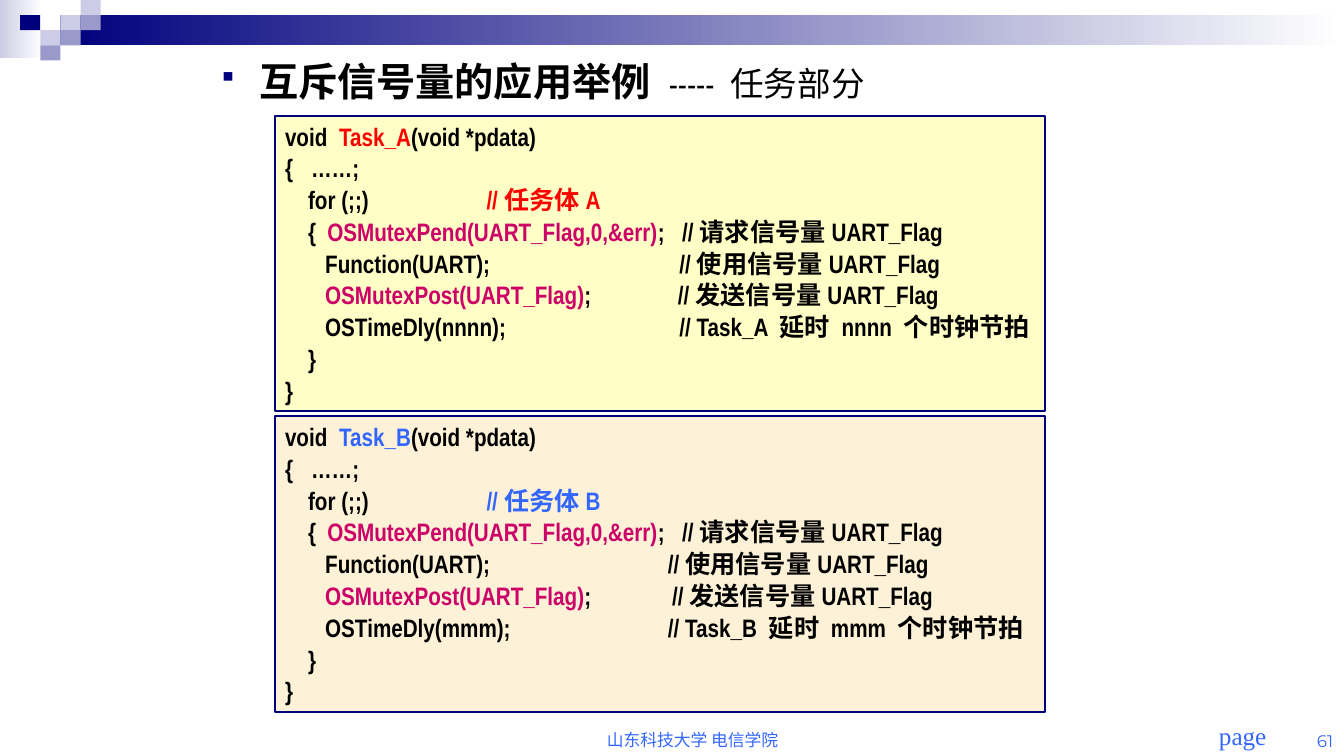
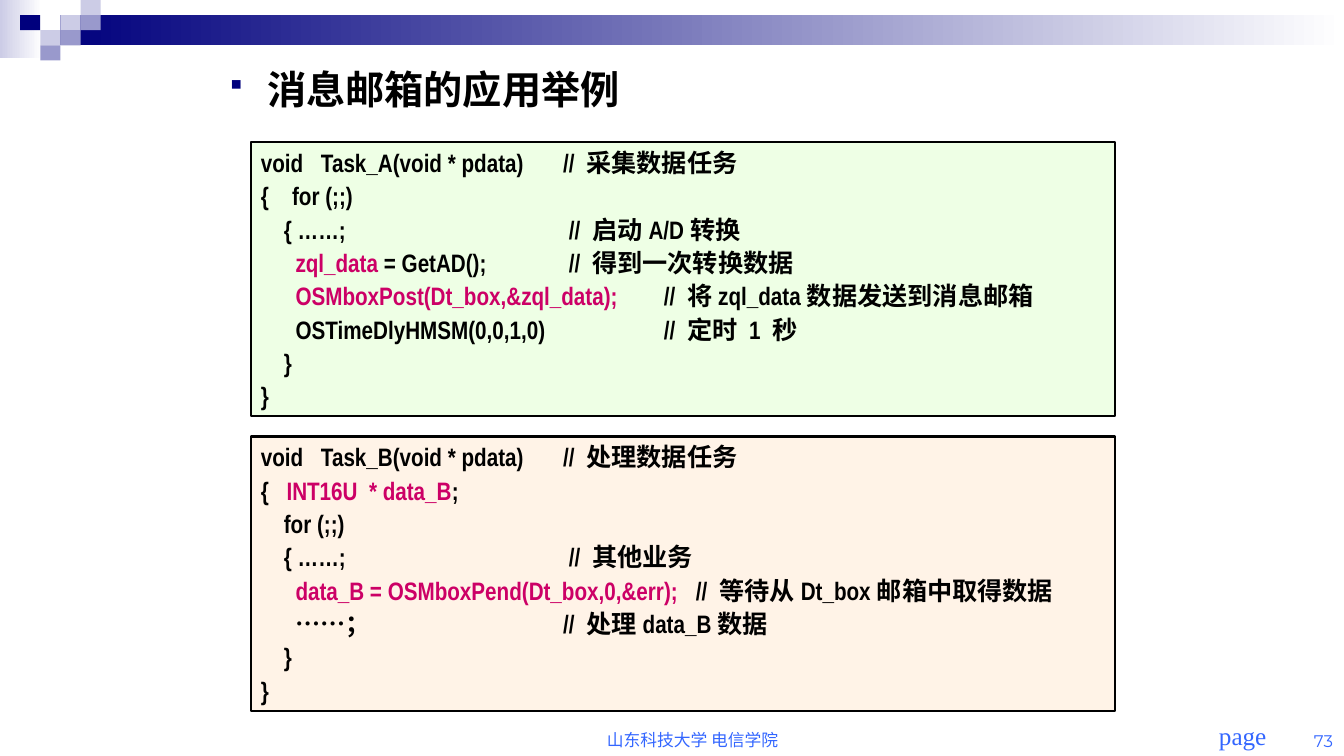
from typing import NamedTuple

from lxml.etree import SubElement
from pptx import Presentation
from pptx.dml.color import RGBColor
from pptx.enum.shapes import MSO_SHAPE as Preset
from pptx.enum.text import MSO_ANCHOR as Anchor, PP_ALIGN as Align
from pptx.oxml.ns import qn
from pptx.util import Pt

# Colours
NAVY = RGBColor(0x00, 0x00, 0x7D)
MID = RGBColor(0x99, 0x99, 0xCC)
PALE = RGBColor(0xCC, 0xCC, 0xE6)
WHITE = RGBColor(0xFF, 0xFF, 0xFF)
BLACK = RGBColor(0x00, 0x00, 0x00)
BLUE = RGBColor(0x33, 0x66, 0xFF)
RED = RGBColor(0xFF, 0x00, 0x00)
MAGENTA = RGBColor(0xCC, 0x00, 0x66)
YELLOW = RGBColor(0xFF, 0xFE, 0xC6)
CREAM = RGBColor(0xFD, 0xF2, 0xD7)
GREEN = RGBColor(0xEE, 0xFF, 0xE5)
PEACH = RGBColor(0xFF, 0xF3, 0xE7)

# Page size and the cells of the corner mosaic
PAGE_WIDTH, PAGE_HEIGHT = 960.48, 540
CELL_WIDTH, CELL_HEIGHT = 14.4, 10.8
MOSAIC = [(3, 1, PALE), (4, 0, PALE), (4, 1, MID), (2, 2, PALE),
          (1, 1, NAVY), (3, 2, MID), (2, 3, MID)]
CODE_FONT = "Arial Narrow"


class Line(NamedTuple):
    """A code line: spans are plain text or (text, colour)."""
    spans: list
    indent: float = 0
    tabs: tuple = ()


def style(span, size, font, color, bold=False):
    span.font.size = Pt(size)
    span.font.name = font
    span.font.color.rgb = color
    span.font.bold = bold


def add_rect(page, left, top, width, height, color, fade=False):
    rect = page.shapes.add_shape(Preset.RECTANGLE, Pt(left), Pt(top), Pt(width), Pt(height))
    rect.shadow.inherit = False
    rect.line.fill.background()
    if fade:
        rect.fill.gradient()
        rect.fill.gradient_angle = 0
        for stop, stop_color in zip(rect.fill.gradient_stops, (color, WHITE)):
            stop.color.rgb = stop_color
    else:
        rect.fill.solid()
        rect.fill.fore_color.rgb = color
    return rect


def add_label(page, left, top, width, height, text, size, font, align, anchor):
    box = page.shapes.add_textbox(Pt(left), Pt(top), Pt(width), Pt(height))
    frame = box.text_frame
    frame.word_wrap = True
    frame.vertical_anchor = anchor
    frame.text = text
    para = frame.paragraphs[0]
    para.alignment = align
    style(para.runs[0], size, font, BLUE)
    return box


def add_page(deck, number):
    """A page with the top band, the mosaic and the footer."""
    page = deck.slides.add_slide(deck.slide_layouts[6])
    add_rect(page, 0, 0, 30.2, 41.8, PALE, fade=True)
    band_left = 3 * CELL_WIDTH
    add_rect(page, band_left, CELL_HEIGHT, PAGE_WIDTH - band_left, 2 * CELL_HEIGHT,
             NAVY, fade=True)
    for column, row, color in MOSAIC:
        add_rect(page, column * CELL_WIDTH, row * CELL_HEIGHT,
                 CELL_WIDTH, CELL_HEIGHT, color)
    caption = add_label(page, 853.9, 511.2, 68.4, 28.8, "page", 18, "Times New Roman",
                        Align.CENTER, Anchor.TOP)
    caption.text_frame.paragraphs[0].space_before = Pt(11.2)
    add_label(page, 336.2, 514, 317.5, 25.2, "山东科技大学 电信学院", 12, "Arial",
              Align.CENTER, Anchor.BOTTOM)
    add_label(page, 910.8, 514.8, 49, 25.2, str(number), 12, "Montserrat",
              Align.RIGHT, Anchor.BOTTOM)
    return page


def add_heading(page, left, top, width, title, note="", space=6):
    box = page.shapes.add_textbox(Pt(left), Pt(top), Pt(width), Pt(45.4))
    box.text_frame.word_wrap = True
    para = box.text_frame.paragraphs[0]
    para.text = title
    para.space_before = Pt(space)
    style(para.runs[0], 28, CODE_FONT, BLACK, bold=True)
    if note:
        span = para.add_run()
        span.text = note
        style(span, 24, CODE_FONT, BLACK)
    # Square bullet with a hanging indent
    props = para._p.get_or_add_pPr()
    props.set("marL", str(Pt(27)))
    props.set("indent", str(Pt(-27)))
    SubElement(SubElement(props, qn("a:buClr")), qn("a:srgbClr"), val=str(NAVY))
    SubElement(props, qn("a:buSzPct"), val="75000")
    SubElement(props, qn("a:buFont"), typeface="Wingdings", charset="2")
    SubElement(props, qn("a:buChar"), char="§")


def add_code(page, left, top, width, height, fill, border, lines, space):
    box = add_rect(page, left, top, width, height, fill)
    box.line.color.rgb = border
    box.line.width = Pt(1.5)
    frame = box.text_frame
    frame.word_wrap = True
    frame.vertical_anchor = Anchor.TOP
    for index, line in enumerate(lines):
        para = frame.add_paragraph() if index else frame.paragraphs[0]
        para.alignment = Align.LEFT
        para.space_before = Pt(space)
        # The indent is a leading tab, on the same ruler as the comments
        lead = [line.indent] if line.indent else []
        stops = SubElement(para._p.get_or_add_pPr(), qn("a:tabLst"))
        for tab in [*lead, *line.tabs]:
            SubElement(stops, qn("a:tab"), pos=str(Pt(tab)), algn="l")
        for part in ["\t"] * len(lead) + line.spans:
            text, color = (part, BLACK) if isinstance(part, str) else part
            span = para.add_run()
            span.text = text
            style(span, 18, CODE_FONT, color, bold=True)


def mutex_task(letter, delay, accent, use_tab, post_tab):
    """Code of a task that shares the UART; the tabs place its comments."""
    outer, inner = 16.5, 28.7
    return [
        Line(["void\t", (f"Task_{letter}", accent), "(void *pdata)"], 0, (38.6,)),
        Line(["{\t……;"], 0, (18.6,)),
        Line(["for (;;)\t", (f"//任务体{letter}", accent)], outer, (144,)),
        Line(["{\t", ("OSMutexPend(UART_Flag,0,&err)", MAGENTA),
              ";\t//请求信号量UART_Flag"], outer, (30.2, 283.8)),
        Line(["Function(UART);\t//使用信号量UART_Flag"], inner, (use_tab,)),
        Line([("OSMutexPost(UART_Flag)", MAGENTA), ";\t//发送信号量UART_Flag"],
             inner, (post_tab,)),
        Line([f"OSTimeDly({delay});\t// Task_{letter} 延时 {delay} 个时钟节拍"],
             inner, (use_tab,)),
        Line(["}"], outer),
        Line(["}"]),
    ]


def mailbox_task(letter, purpose, body):
    """Code of a mailbox task around the given body."""
    return [
        Line([f"void\tTask_{letter}(void * pdata)\t// {purpose}"], 0, (43, 216)),
        *body,
        Line(["}"], 16.5),
        Line(["}"]),
    ]


def build_mutex_page(deck):
    page = add_page(deck, 61)
    tasks = [(YELLOW, mutex_task("A", "nnnn", RED, 281.8, 280.8)),
             (CREAM, mutex_task("B", "mmm", BLUE, 273.6, 276.6))]
    for index, (fill, lines) in enumerate(tasks):
        add_code(page, 196.6, 82.8 + index * 214.6, 550, 211, fill, NAVY, lines, 1.1)
    add_heading(page, 151.2, 37.4, 648, "互斥信号量的应用举例 ", "----- 任务部分")


def build_mailbox_page(deck):
    page = add_page(deck, 73)
    add_heading(page, 157, 43.2, 311.8, "消息邮箱的应用举例", space=7)
    outer, inner = 16.5, 24.8
    collect = [
        Line(["{\tfor (;;)"], 0, (22.4,)),
        Line(["{ ……;\t// 启动A/D转换"], outer, (220.2,)),
        Line([("zql_data", MAGENTA), " = GetAD();\t// 得到一次转换数据"], inner, (220.2,)),
        Line([("OSMboxPost(Dt_box,&zql_data);\t", MAGENTA),
              "// 将zql_data数据发送到消息邮箱"], inner, (288,)),
        Line(["OSTimeDlyHMSM(0,0,1,0)\t// 定时 1 秒"], inner, (288,)),
    ]
    process = [
        Line(["{\t", ("INT16U  * data_B", MAGENTA), ";"], 0, (18.4,)),
        Line(["for (;;)"], outer),
        Line(["{ ……;\t// 其他业务"], outer, (220.2,)),
        Line([("data_B = OSMboxPend(Dt_box,0,&err);", MAGENTA),
              "\t// 等待从Dt_box邮箱中取得数据"], inner, (311,)),
        Line(["……；\t// 处理data_B数据"], inner, (216,)),
    ]
    tasks = [(GREEN, mailbox_task("A", "采集数据任务", collect)),
             (PEACH, mailbox_task("B", "处理数据任务", process))]
    for index, (fill, lines) in enumerate(tasks):
        add_code(page, 179.3, 101.6 + index * 210.2, 617.8, 195.8, fill, BLACK, lines, 2.2)


def main():
    deck = Presentation()
    deck.slide_width, deck.slide_height = Pt(PAGE_WIDTH), Pt(PAGE_HEIGHT)
    build_mutex_page(deck)
    build_mailbox_page(deck)
    deck.save("out.pptx")


if __name__ == "__main__":
    main()
